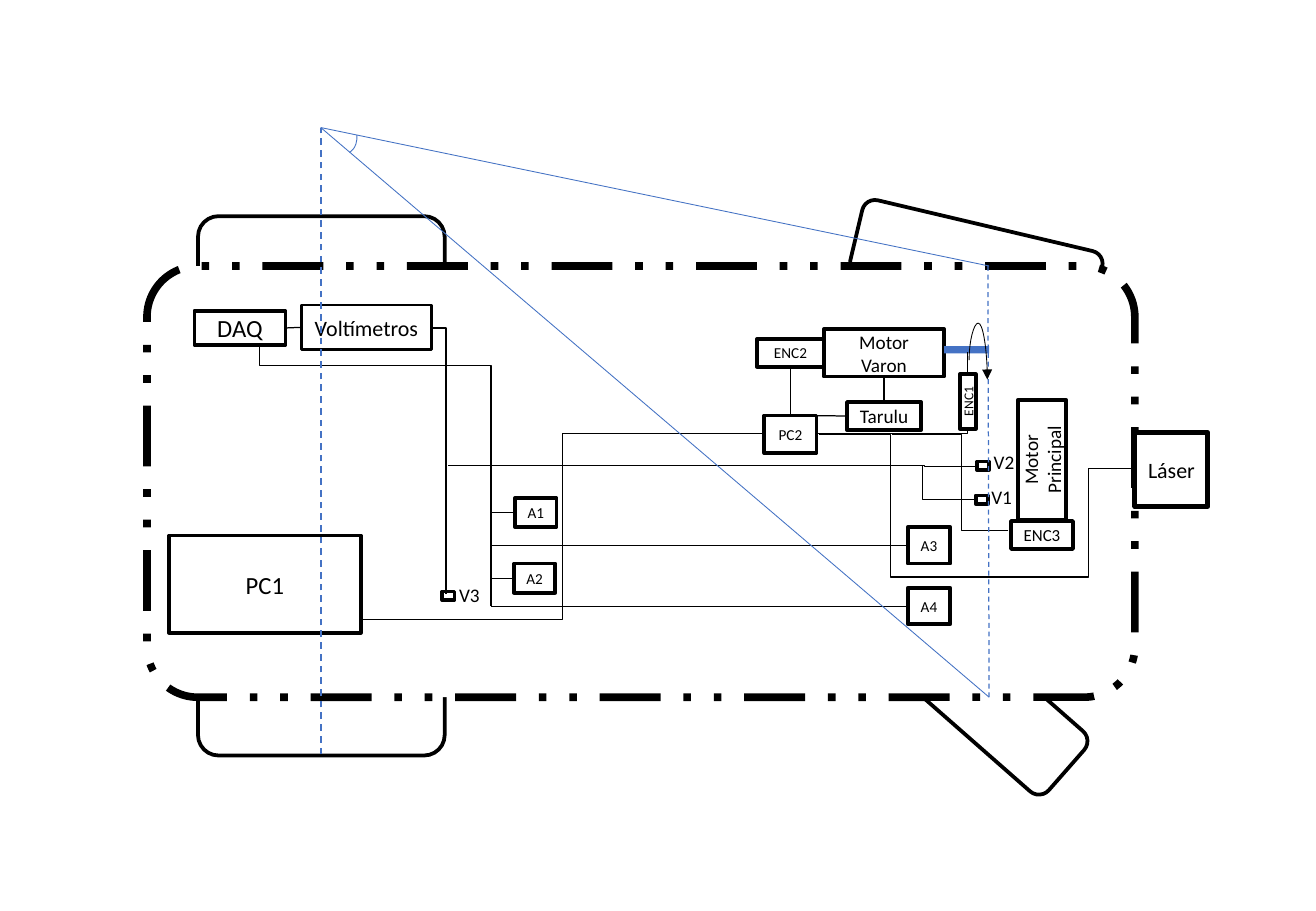
from lxml import etree
from pptx import Presentation
from pptx.dml.color import RGBColor
from pptx.enum.dml import MSO_LINE
from pptx.enum.shapes import MSO_CONNECTOR, MSO_SHAPE
from pptx.enum.text import MSO_ANCHOR, PP_ALIGN
from pptx.oxml.ns import qn
from pptx.util import Inches, Pt

RECTANGLE = MSO_SHAPE.RECTANGLE
ROUNDED = MSO_SHAPE.ROUNDED_RECTANGLE
ARC = MSO_SHAPE.ARC
STRAIGHT = MSO_CONNECTOR.STRAIGHT
ELBOW = MSO_CONNECTOR.ELBOW
CURVE = MSO_CONNECTOR.CURVE
DASH = MSO_LINE.DASH
CHASSIS_DASH = MSO_LINE.DASH_DOT_DOT
CENTER = PP_ALIGN.CENTER
MIDDLE = MSO_ANCHOR.MIDDLE
TOP, LEFT, BOTTOM, RIGHT = range(4)

COLORS = {"ink": "000000", "paper": "FFFFFF", "geometry": "4472C4"}
FONT = "Calibri"
DIAGRAM = (1, 1)

WHEELS = [
    (0.63, 0.78, 2.03, 1.01, 0),
    (0.63, 4.21, 2.03, 1.01, 0),
    (6.02, 0.85, 2.03, 0.64, 13.3),
    (6, 4.34, 2.03, 0.66, 41.3),
]

COMPONENTS = [
    ("Láser", 8.34, 2.56, 0.6, 0.61, 13, 3, 0),
    ("A1", 3.24, 3.1, 0.34, 0.24, 9, 2.25, 0),
    ("A2", 3.23, 3.64, 0.34, 0.24, 9, 2.25, 0),
    ("A3", 6.47, 3.34, 0.35, 0.3, 9, 2.25, 0),
    ("A4", 6.47, 3.84, 0.35, 0.3, 9, 2.25, 0),
    ("PC1", 0.39, 3.41, 1.58, 0.8, 14.6, 2.25, 0),
    ("DAQ", 0.6, 1.56, 0.75, 0.28, 14.6, 2.25, 0),
    ("Motor Varon", 5.78, 1.71, 0.99, 0.39, 11.4, 2.25, 0),
    ("ENC1", 6.74, 2.24, 0.45, 0.13, 8, 2.25, 270),
    ("ENC2", 5.23, 1.79, 0.55, 0.23, 9, 2.25, 0),
    ("Motor Principal", 7.08, 2.59, 0.99, 0.39, 11.4, 2.25, 270),
    ("ENC3", 7.32, 3.29, 0.51, 0.23, 10, 2.25, 0),
    ("PC2", 5.29, 2.42, 0.43, 0.31, 9, 2.25, 0),
    ("Voltímetros", 1.48, 1.51, 1.07, 0.37, 13, 1.5, 0),
    ("Tarulu", 5.97, 2.31, 0.61, 0.23, 11.4, 2.25, 0),
]

SENSORS = [
    ("V1", 7.03, 3.08, 7.06, 2.95),
    ("V2", 7.04, 2.8, 7.08, 2.66),
    ("V3", 2.64, 3.87, 2.68, 3.75),
]

ELBOW_WIRES = [
    (2.54, 1.7, 2.67, 3.89, 1, 0.75),
    (2.69, 2.83, 7.04, 2.84, 0.9, 0.75),
    (6.16, 2.83, 7.03, 3.11, 0.5, 0.75),
    (1.37, 2.01, 3.04, 3.77, 1, 0.75),
    (0.85, 1.84, 1.42, 2.01, 0.5, 0.75),
    (1.96, 4.1, 5.29, 2.57, 0.5, 0.5),
    (7.3, 3.37, 6.34, 2.58, 0.4, 0.5),
    (6.96, 2.53, 5.72, 2.57, 0, 0.75),
    (8.34, 2.86, 6.88, 3.75, 0.26, 0.75),
    (5.74, 2.58, 6.92, 3.75, 0.5, 0.75),
]

BUS_X = 3.04
BUS_TAPS = [("A1", 3.22, 0.75), ("A2", 3.76, 0.75), ("A3", 3.49, 1), ("A4", 3.99, 0.5)]

LINKS = [
    ("DAQ", RIGHT, "Voltímetros", LEFT),
    ("ENC2", BOTTOM, "PC2", TOP),
    ("Tarulu", LEFT, "PC2", TOP),
    ("Tarulu", TOP, "Motor Varon", BOTTOM),
]


def color(name):
    return RGBColor.from_string(COLORS[name])


def add_box(slide, box, kind, x, y, width, height, line, fill="paper", ink="ink", rotation=0):
    shape = slide.shapes.add_shape(
        kind, Inches(box[0] + x), Inches(box[1] + y), Inches(width), Inches(height))
    shape.shadow.inherit = False
    shape.rotation = rotation
    if fill:
        shape.fill.solid()
        shape.fill.fore_color.rgb = color(fill)
    else:
        shape.fill.background()
    if line:
        shape.line.color.rgb = color(ink)
        shape.line.width = Pt(line)
    else:
        shape.line.fill.background()
    return shape


def add_wire(slide, box, kind, x1, y1, x2, y2, width, ink="ink", dash=None, bend=None):
    connector = slide.shapes.add_connector(
        kind, Inches(box[0] + x1), Inches(box[1] + y1),
        Inches(box[0] + x2), Inches(box[1] + y2))
    connector.line.color.rgb = color(ink)
    connector.line.width = Pt(width)
    if dash:
        connector.line.dash_style = dash
    properties = connector._element.spPr
    etree.SubElement(properties, qn("a:effectLst"))
    if bend is not None:
        geometry = properties.find(qn("a:prstGeom"))
        adjustments = geometry.find(qn("a:avLst"))
        if adjustments is None:
            adjustments = etree.SubElement(geometry, qn("a:avLst"))
        etree.SubElement(adjustments, qn("a:gd"), name="adj1", fmla=f"val {round(bend * 100000)}")
    return connector


def add_run(paragraph, text, size):
    run = paragraph.add_run()
    run.text = text
    run.font.name = FONT
    run.font.size = Pt(size)
    run.font.color.rgb = color("ink")


def draw_vehicle(slide, box):
    for x, y, width, height, rotation in WHEELS:
        add_box(slide, box, ROUNDED, x, y, width, height, 2.25, None, rotation=rotation)
    chassis = add_box(slide, box, ROUNDED, 0.21, 1.19, 8.13, 3.55, 4.5)
    chassis.adjustments[0] = 0.118
    chassis.line.dash_style = CHASSIS_DASH


def draw_components(slide, box):
    shapes = {}
    for name, x, y, width, height, size, line, rotation in COMPONENTS:
        shape = add_box(slide, box, RECTANGLE, x, y, width, height, line, rotation=rotation)
        frame = shape.text_frame
        frame.word_wrap = True
        frame.vertical_anchor = MIDDLE
        frame.margin_left = frame.margin_right = Inches(0.1 if " " in name else 0)
        frame.margin_top = frame.margin_bottom = 0
        frame.paragraphs[0].alignment = CENTER
        add_run(frame.paragraphs[0], name, size)
        shapes[name] = shape
    return shapes


def draw_sensors(slide, box):
    for name, x, y, label_x, label_y in SENSORS:
        add_box(slide, box, RECTANGLE, x, y, 0.1, 0.07, 2.25)
        label = slide.shapes.add_textbox(
            Inches(box[0] + label_x), Inches(box[1] + label_y), Inches(0.37), Inches(0.29))
        label.text_frame.word_wrap = False
        add_run(label.text_frame.paragraphs[0], name, 11.4)


def draw_wiring(slide, box, components):
    for x1, y1, x2, y2, bend, width in ELBOW_WIRES:
        add_wire(slide, box, ELBOW, x1, y1, x2, y2, width, bend=bend)
    for name, y, width in BUS_TAPS:
        tap = add_wire(slide, box, STRAIGHT, BUS_X, y, BUS_X, y, width)
        tap.end_connect(components[name], LEFT)
    add_wire(slide, box, STRAIGHT, BUS_X, 3.76, BUS_X, 3.99, 0.75)
    for start, start_side, end, end_side in LINKS:
        link = add_wire(slide, box, STRAIGHT, 0, 0, 1, 1, 0.75)
        link.begin_connect(components[start], start_side)
        link.end_connect(components[end], end_side)


def draw_steering(slide, box):
    pivot = (1.64, 0.05)
    add_wire(slide, box, STRAIGHT, 7.13, 1.19, 7.14, 4.74, 0.75, "geometry", DASH)
    for end_y in (1.19, 4.74):
        add_wire(slide, box, STRAIGHT, *pivot, 7.14, end_y, 0.5, "geometry")
    add_wire(slide, box, STRAIGHT, 1.64, 5.21, *pivot, 1, "geometry", DASH)
    angle = add_box(slide, box, ARC, 1.52, -0.1, 0.46, 0.33, 0.5, None, "geometry", 56.4)
    angle.adjustments[0] = 190.349
    angle.adjustments[1] = 0
    add_box(slide, box, RECTANGLE, 6.77, 1.85, 0.37, 0.06, None, "geometry")
    add_wire(slide, box, STRAIGHT, 6.96, 1.9, 6.96, 2.08, 0.5)
    turn = add_wire(slide, box, CURVE, 7.13, 1.97, 6.97, 2.12, 0.5, bend=-1.906)
    properties = turn._element.spPr
    properties.find(qn("a:xfrm")).set("rot", "16200000")
    etree.SubElement(properties.find(qn("a:ln")), qn("a:tailEnd"), type="triangle")


def main():
    presentation = Presentation()
    presentation.slide_width = Inches(10.83)
    presentation.slide_height = Inches(7.5)
    slide = presentation.slides.add_slide(presentation.slide_layouts[6])
    draw_vehicle(slide, DIAGRAM)
    components = draw_components(slide, DIAGRAM)
    draw_sensors(slide, DIAGRAM)
    draw_wiring(slide, DIAGRAM, components)
    draw_steering(slide, DIAGRAM)
    presentation.save("out.pptx")


if __name__ == "__main__":
    main()
